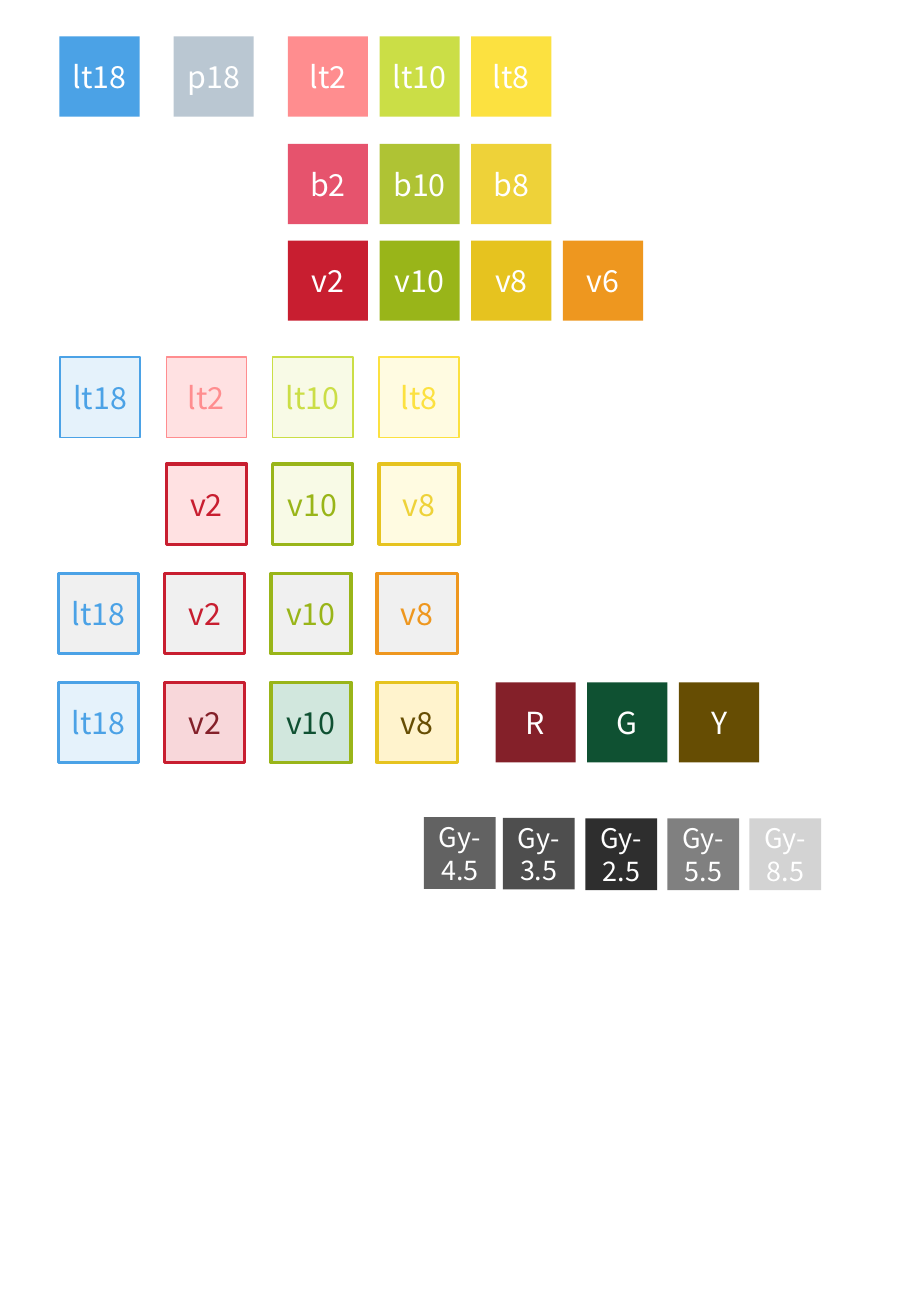
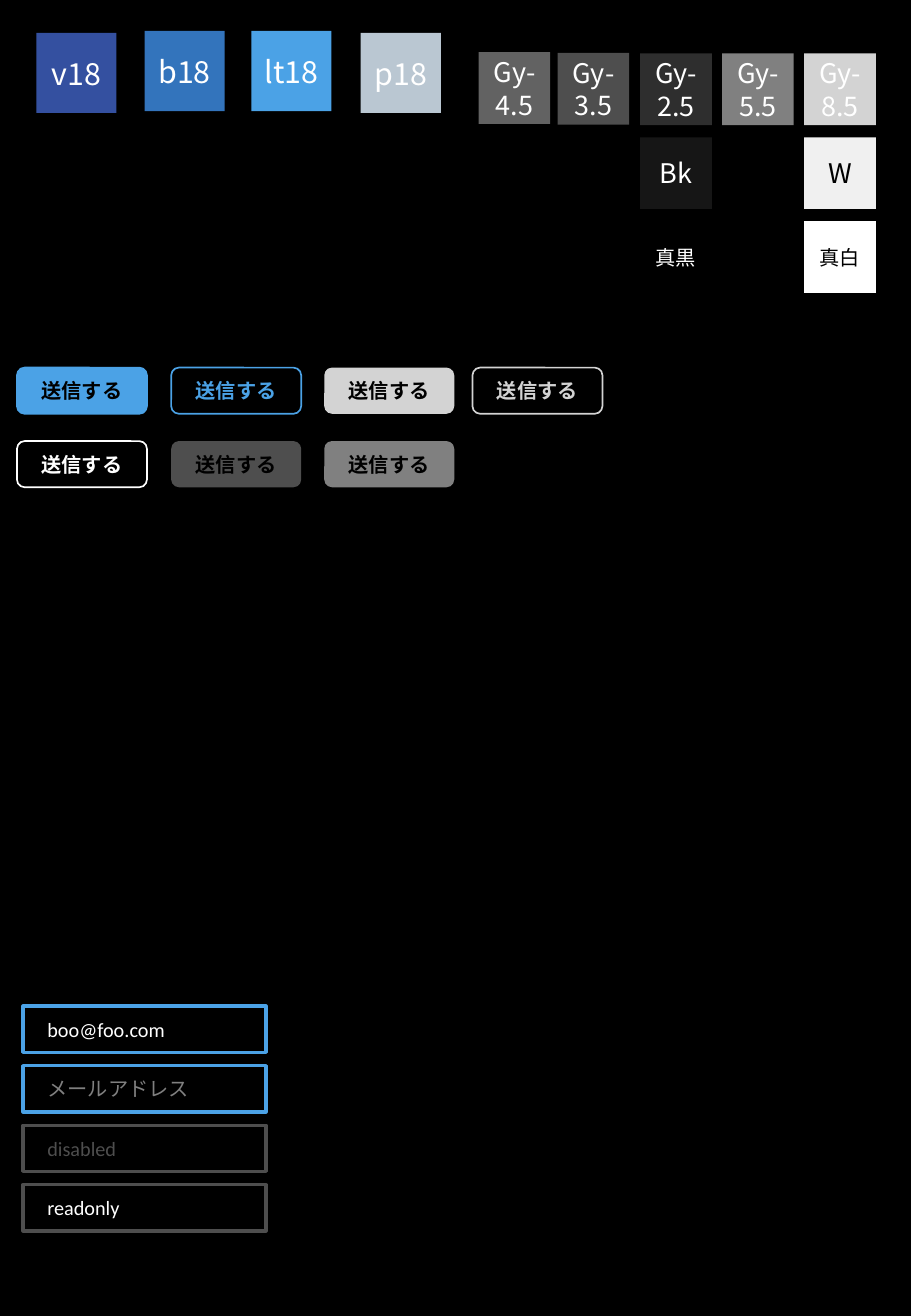
from pptx import Presentation
from pptx.dml.color import RGBColor
from pptx.enum.shapes import MSO_SHAPE
from pptx.enum.text import MSO_ANCHOR, PP_ALIGN
from pptx.util import Emu, Pt

EMU_PER_PX = 4572
SWATCH, GRAY_SWATCH = 132, 118
BUTTON_WIDTH, FIELD_WIDTH, CONTROL_HEIGHT = 214, 400, 76
SWATCH_PITCH, OUTLINE_PITCH, FIELD_PITCH = 151, 175, 98
BUTTON_LEFTS = (28, 282, 534, 778)

WHITE, BLACK, OFF_WHITE = "FFFFFF", "000000", "F0F0F0"
BLUE, PALE_BLUE, BLUE_GRAY = "4BA2E6", "E5F2FB", "BAC7D2"
LIGHT_RED, LIGHT_GREEN, LIGHT_YELLOW = "FF8D8F", "CBDE46", "FCE140"
PALE_RED, PALE_GREEN, PALE_YELLOW = "FFE1E2", "F8FAE6", "FFFBE1"
BRIGHT_RED, BRIGHT_GREEN, BRIGHT_YELLOW = "E6536D", "AFC334", "EED239"
VIVID_RED, VIVID_GREEN, VIVID_YELLOW, VIVID_ORANGE = "C81E30", "99B519", "E6C31F", "EE971F"
DARK_RED, DARK_GREEN, DARK_YELLOW = "842029", "0F5132", "664D03"
DARK_GRAY, MID_GRAY, LIGHT_GRAY = "4E4E4E", "808080", "D3D3D3"

LARGE_FONT = {"name": "Noto Sans CJK JP", "size": Pt(18)}
GRAY_FONT = {"name": "Noto Sans CJK JP", "size": Pt(16)}
NAME_FONT = {"name": "Arial", "size": Pt(12)}
FIELD_FONT = {"name": "Calibri", "size": Pt(12)}
BUTTON_FONT = FIELD_FONT | {"bold": True}

GRAYS = (
    ("Gy-4.5", "626262", 0, 0),
    ("Gy-3.5", DARK_GRAY, 130, 1),
    ("Gy-2.5", "2E2E2E", 266, 2),
    ("Gy-5.5", MID_GRAY, 401, 2),
    ("Gy-8.5", LIGHT_GRAY, 536, 2),
)


def px(length):
    return Emu(length * EMU_PER_PX)


def colour(value):
    return RGBColor.from_string(value)


def set_attributes(target, values):
    for name, value in values.items():
        setattr(target, name, value)


def add_slide(presentation, background):
    slide = presentation.slides.add_slide(presentation.slide_layouts[6])
    slide.background.fill.solid()
    slide.background.fill.fore_color.rgb = colour(background)
    return slide


def add_box(slide, box, label, fill, ink, font, line=None, line_width=1,
            kind=MSO_SHAPE.RECTANGLE, alignment=PP_ALIGN.CENTER):
    shape = slide.shapes.add_shape(kind, *(px(length) for length in box))
    shape.shadow.inherit = False
    for paint, value in ((shape.fill, fill), (shape.line.fill, line)):
        if value:
            paint.solid()
            paint.fore_color.rgb = colour(value)
        else:
            paint.background()
    if line:
        shape.line.width = Pt(line_width)
    set_attributes(shape.text_frame, {"word_wrap": True, "vertical_anchor": MSO_ANCHOR.MIDDLE})
    paragraph = shape.text_frame.paragraphs[0]
    paragraph.alignment = alignment
    run = paragraph.add_run()
    run.text = label
    set_attributes(run.font, font)
    run.font.color.rgb = colour(ink)
    return shape


def add_swatch(slide, left, top, label, fill):
    add_box(slide, (left, top, SWATCH, SWATCH), label, fill, WHITE, LARGE_FONT)


def add_swatch_row(slide, left, top, swatches):
    for column, (label, fill) in enumerate(swatches):
        add_swatch(slide, left + column * SWATCH_PITCH, top, label, fill)


def add_outline_row(slide, left, top, line_width, swatches):
    for column, (label, fill, ink, line) in swatches.items():
        box = (left + column * OUTLINE_PITCH, top, SWATCH, SWATCH)
        add_box(slide, box, label, fill, ink, LARGE_FONT, line, line_width)


def add_gray_swatch(slide, left, top, label, fill, ink=WHITE, font=GRAY_FONT):
    add_box(slide, (left, top, GRAY_SWATCH, GRAY_SWATCH), label, fill, ink, font)


def add_gray_scale(slide, left, top):
    for label, fill, across, down in GRAYS:
        add_gray_swatch(slide, left + across, top + down, label, fill)


def add_button_row(slide, top, buttons):
    for left, (fill, ink, line) in zip(BUTTON_LEFTS, buttons):
        add_box(slide, (left, top, BUTTON_WIDTH, CONTROL_HEIGHT), "送信する", fill, ink,
                BUTTON_FONT, line, kind=MSO_SHAPE.ROUNDED_RECTANGLE)


def add_field(slide, top, label, ink, line):
    shape = add_box(slide, (38, top, FIELD_WIDTH, CONTROL_HEIGHT), label, BLACK, ink,
                    FIELD_FONT, line, 2, alignment=PP_ALIGN.LEFT)
    set_attributes(shape.text_frame, {
        "word_wrap": False, "margin_left": px(40), "margin_right": px(40),
        "margin_top": px(10), "margin_bottom": px(10)})


def build_light_palette(presentation):
    slide = add_slide(presentation, WHITE)
    add_swatch(slide, 98, 60, "lt18", BLUE)
    add_swatch(slide, 286, 60, "p18", BLUE_GRAY)
    add_swatch_row(slide, 474, 60, (
        ("lt2", LIGHT_RED), ("lt10", LIGHT_GREEN), ("lt8", LIGHT_YELLOW)))
    add_swatch_row(slide, 474, 237, (
        ("b2", BRIGHT_RED), ("b10", BRIGHT_GREEN), ("b8", BRIGHT_YELLOW)))
    add_swatch_row(slide, 474, 396, (
        ("v2", VIVID_RED), ("v10", VIVID_GREEN), ("v8", VIVID_YELLOW), ("v6", VIVID_ORANGE)))
    add_outline_row(slide, 99, 588, 1, {
        0: ("lt18", PALE_BLUE, BLUE, BLUE),
        1: ("lt2", PALE_RED, LIGHT_RED, LIGHT_RED),
        2: ("lt10", PALE_GREEN, LIGHT_GREEN, LIGHT_GREEN),
        3: ("lt8", PALE_YELLOW, LIGHT_YELLOW, LIGHT_YELLOW)})
    add_outline_row(slide, 99, 764, 2, {
        1: ("v2", PALE_RED, VIVID_RED, VIVID_RED),
        2: ("v10", PALE_GREEN, VIVID_GREEN, VIVID_GREEN),
        3: ("v8", PALE_YELLOW, BRIGHT_YELLOW, VIVID_YELLOW)})
    add_outline_row(slide, 96, 944, 2, {
        0: ("lt18", OFF_WHITE, BLUE, BLUE),
        1: ("v2", OFF_WHITE, VIVID_RED, VIVID_RED),
        2: ("v10", OFF_WHITE, VIVID_GREEN, VIVID_GREEN),
        3: ("v8", OFF_WHITE, VIVID_ORANGE, VIVID_ORANGE)})
    add_outline_row(slide, 96, 1123, 2, {
        0: ("lt18", PALE_BLUE, BLUE, BLUE),
        1: ("v2", "F8D7DA", DARK_RED, VIVID_RED),
        2: ("v10", "D1E7DD", DARK_GREEN, VIVID_GREEN),
        3: ("v8", "FFF3CD", DARK_YELLOW, VIVID_YELLOW)})
    add_swatch_row(slide, 816, 1123, (
        ("R", DARK_RED), ("G", DARK_GREEN), ("Y", DARK_YELLOW)))
    add_gray_scale(slide, 698, 1345)


def build_dark_palette(presentation):
    slide = add_slide(presentation, BLACK)
    for left, top, label, fill in (
            (60, 54, "v18", "3450A0"), (238, 51, "b18", "3374BC"),
            (414, 51, "lt18", BLUE), (594, 54, "p18", BLUE_GRAY)):
        add_swatch(slide, left, top, label, fill)
    add_gray_scale(slide, 788, 86)
    add_gray_swatch(slide, 1054, 226, "Bk", "161616")
    add_gray_swatch(slide, 1324, 226, "W", OFF_WHITE, BLACK)
    add_gray_swatch(slide, 1054, 364, "真黒", BLACK, WHITE, NAME_FONT)
    add_gray_swatch(slide, 1324, 364, "真白", WHITE, BLACK, NAME_FONT)
    add_button_row(slide, 605, (
        (BLUE, BLACK, BLUE), (BLACK, BLUE, BLUE),
        (LIGHT_GRAY, BLACK, None), (None, LIGHT_GRAY, LIGHT_GRAY)))
    add_button_row(slide, 726, (
        (BLACK, WHITE, WHITE), (DARK_GRAY, BLACK, None), (MID_GRAY, BLACK, None)))
    for row, (label, ink, line) in enumerate((
            ("boo@foo.com", WHITE, BLUE), ("メールアドレス", MID_GRAY, BLUE),
            ("disabled", DARK_GRAY, DARK_GRAY), ("readonly", WHITE, DARK_GRAY))):
        add_field(slide, 1656 + row * FIELD_PITCH, label, ink, line)


def main():
    presentation = Presentation()
    set_attributes(presentation, {"slide_width": px(1500), "slide_height": px(2166)})
    build_light_palette(presentation)
    build_dark_palette(presentation)
    presentation.save("out.pptx")


if __name__ == "__main__":
    main()
